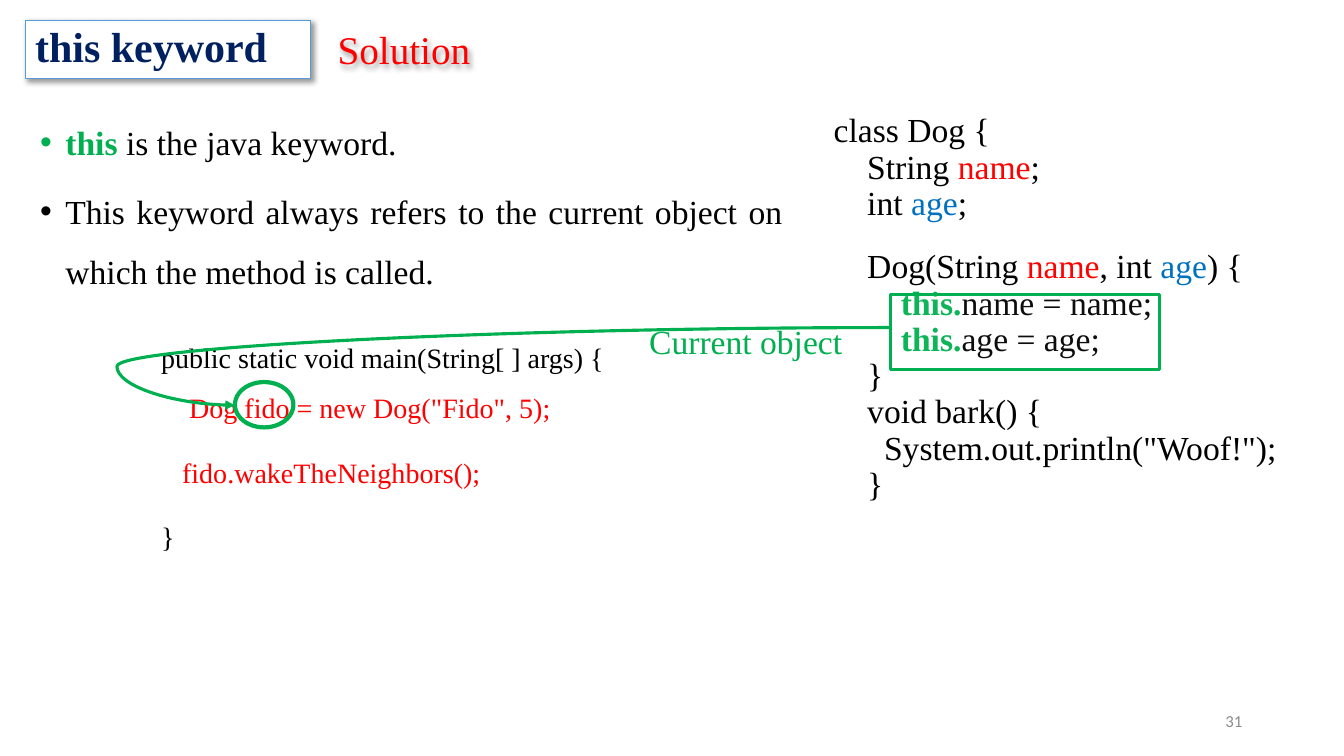
from lxml import etree
from pptx import Presentation
from pptx import util as u
from pptx.dml import color as dml
from pptx.enum import shapes, text
from pptx.oxml import ns

SCALE = 9144
SERIF = "Times New Roman"
BLACK, RED, BLUE, GREEN = "000000", "FF0000", "0070C0", "00B050"
NAVY, GRAY, WHITE, BORDER = "002060", "8C8C8C", "FFFFFF", "5B9BD5"

DOG_CLASS = [
    ("class Dog {\n    String ", BLACK),
    ("name", RED),
    (";\n    int ", BLACK),
    ("age", BLUE),
    (";\n\n    Dog(String ", BLACK),
    ("name", RED),
    (", int ", BLACK),
    ("age", BLUE),
    (") {\n        ", BLACK),
    ("this.", GREEN, True),
    ("name = name;\n        ", BLACK),
    ("this.", GREEN, True),
    ("age = age;\n    }\n    void bark() {\n"
     "      System.out.println(\"Woof!\");\n    }", BLACK),
]
KEYWORD_POINTS = [
    [("this ", GREEN, True), ("is the java keyword.", BLACK)],
    [("This keyword always refers to the current object on "
      "which the method is called.", BLACK)],
]
MAIN_METHOD = [
    [("public static void main(String[ ] args) {\n    ", BLACK),
     ("Dog fido = new Dog(\"Fido\", 5);", RED)],
    [("   fido.wakeTheNeighbors();", RED)],
    [("}", BLACK)],
]


def px(length):
    return u.Emu(length * SCALE)


def rgb(value):
    return dml.RGBColor.from_string(value)


def add_element(parent, tag, **attributes):
    element = etree.SubElement(parent, ns.qn(tag))
    for name, value in attributes.items():
        element.set(name, str(value))
    return element


def add_piece(paragraph, size, font, content, color, bold=False):
    for index, line in enumerate(content.split("\n")):
        if index:
            paragraph.add_line_break()
        if line:
            run = paragraph.add_run()
            run.text = line
            run.font.size = u.Pt(size)
            run.font.name = font
            run.font.bold = bold
            run.font.color.rgb = rgb(color)


def write_text(shape, paragraphs, size, font=SERIF, spacing=1.0, before=0,
               indent=0, bullet=None, align=text.PP_ALIGN.LEFT,
               anchor=text.MSO_ANCHOR.TOP, wrap=True):
    frame = shape.text_frame
    frame.word_wrap = wrap
    frame.vertical_anchor = anchor
    for index, pieces in enumerate(paragraphs):
        paragraph = frame.add_paragraph() if index else frame.paragraphs[0]
        properties = paragraph._p.get_or_add_pPr()
        properties.set("marL", str(px(indent)))
        if bullet:
            properties.set("indent", str(-px(indent)))
            add_element(properties, "a:buFont", typeface="Arial")
            add_element(properties, "a:buChar", char=bullet)
        paragraph.alignment = align
        paragraph.line_spacing = spacing
        if index:
            paragraph.space_before = u.Pt(before)
        for piece in pieces:
            add_piece(paragraph, size, font, *piece)


def add_text(slide, box, paragraphs, size, **layout):
    shape = slide.shapes.add_textbox(*map(px, box))
    write_text(shape, paragraphs, size, **layout)
    return shape


def add_outline(slide, kind, box, color, width, fill=None, opacity=100):
    shape = slide.shapes.add_shape(kind, *map(px, box))
    shape.shadow.inherit = False
    shape.line.color.rgb = rgb(color)
    shape.line.width = u.Pt(width)
    if fill is None:
        shape.fill.background()
    else:
        shape.fill.solid()
        shape.fill.fore_color.rgb = rgb(fill)
        if opacity < 100:
            fill_color = shape._element.spPr.find(
                f"{ns.qn('a:solidFill')}/{ns.qn('a:srgbClr')}")
            add_element(fill_color, "a:alpha", val=opacity * 1000)
    return shape


def add_shadow(shape):
    shape.shadow.inherit = False
    effects = shape._element.spPr.find(ns.qn("a:effectLst"))
    shadow = add_element(effects, "a:outerShdw", blurRad=u.Pt(4), dist=u.Pt(3),
                         dir=45 * 60000, algn="tl", rotWithShape=0)
    shadow_color = add_element(shadow, "a:srgbClr", val=BLACK)
    add_element(shadow_color, "a:alpha", val=40000)


def add_curved_arrow(slide, start, end, bend, color, width):
    connector = slide.shapes.add_connector(
        shapes.MSO_CONNECTOR.CURVE, *map(px, start + end))
    connector.line.color.rgb = rgb(color)
    connector.line.width = u.Pt(width)
    properties = connector._element.spPr
    add_element(connector.line._get_or_add_ln(), "a:tailEnd", type="triangle")
    add_element(properties, "a:effectLst")
    guides = properties.find(f"{ns.qn('a:prstGeom')}/{ns.qn('a:avLst')}")
    add_element(guides, "a:gd", name="adj1", fmla=f"val {round(bend * 100000)}")


def main():
    presentation = Presentation()
    presentation.slide_width = px(1333)
    presentation.slide_height = px(750)
    slide = presentation.slides.add_slide(presentation.slide_layouts[6])
    rectangle, oval = shapes.MSO_SHAPE.RECTANGLE, shapes.MSO_SHAPE.OVAL
    middle = text.MSO_ANCHOR.MIDDLE

    add_text(slide, (817, 108, 475, 481), [DOG_CLASS], 24, spacing=0.9)
    add_outline(slide, rectangle, (883, 292, 267, 75), GREEN, 2.25, WHITE, 5)
    add_text(slide, (30, 96, 756, 467), KEYWORD_POINTS, 24, spacing=1.5,
             before=6, indent=25, bullet="•", align=text.PP_ALIGN.JUSTIFY)
    add_text(slide, (125, 316, 550, 217), MAIN_METHOD, 20, spacing=1.5,
             before=10, indent=25)
    add_curved_arrow(slide, (883, 325), (233, 402), 1.18, GREEN, 2.25)
    add_outline(slide, oval, (233, 379, 58, 45), GREEN, 3)
    add_text(slide, (634, 313, 213, 50), [[("Current object", GREEN)]], 24,
             wrap=False)

    heading = add_outline(slide, rectangle, (25, 20, 283, 58), BORDER, 0.75, WHITE)
    write_text(heading, [[("this keyword", NAVY, True)]], 30, spacing=0.9,
               anchor=middle)
    add_shadow(heading)
    title = add_text(slide, (325, 25, 350, 53), [[("Solution", RED)]], 28,
                     spacing=0.9, anchor=middle)
    add_shadow(title)
    add_text(slide, (942, 695, 300, 40), [[("31", GRAY)]], 12, font="Calibri",
             align=text.PP_ALIGN.RIGHT, anchor=middle)
    presentation.save("out.pptx")


if __name__ == "__main__":
    main()
